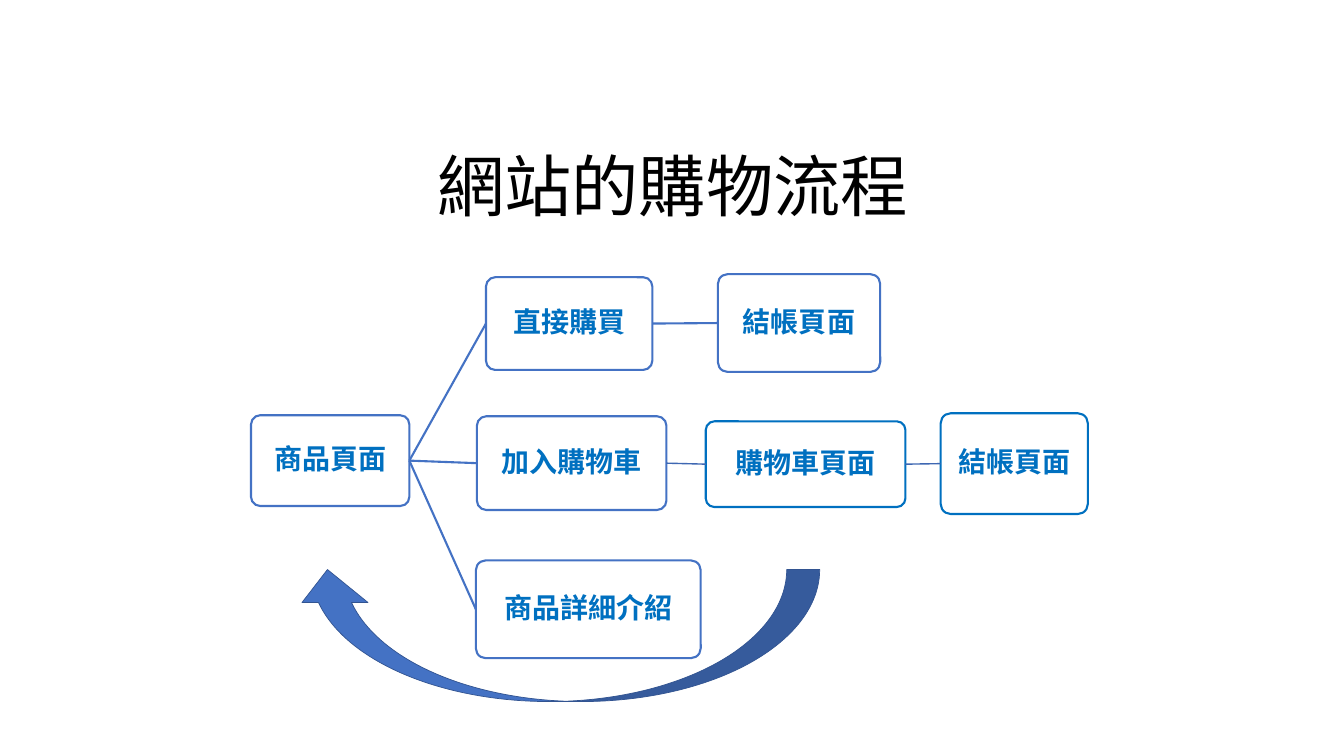
import pptx
import pptx.util
import pptx.dml.color
import pptx.enum.shapes
import pptx.enum.text
import pptx.oxml.ns
from lxml import etree

Inches = pptx.util.Inches
SHAPE = pptx.enum.shapes.MSO_SHAPE
ANCHOR = pptx.enum.text.MSO_ANCHOR
HEX = {"black": "000000", "white": "FFFFFF", "blue": "4472C4",
       "sky": "0070C0", "steel": "3E67B2", "navy": "325491"}
FONT = "Noto Sans CJK SC"


def color(name):
    return pptx.dml.color.RGBColor.from_string(HEX[name])


def write(shape, text, size, ink, bold=False, anchor=ANCHOR.MIDDLE, pad=(0.1, 0.05)):
    frame = shape.text_frame
    frame.word_wrap = True
    frame.vertical_anchor = anchor
    frame.margin_left = frame.margin_right = Inches(pad[0])
    frame.margin_top = frame.margin_bottom = Inches(pad[1])
    para = frame.paragraphs[0]
    para.alignment = pptx.enum.text.PP_ALIGN.CENTER
    para.line_spacing = 0.9
    run = para.add_run()
    run.text = text
    run.font.size = pptx.util.Pt(size)
    run.font.bold = bold
    run.font.color.rgb = color(ink)
    run.font.name = FONT
    asian = etree.SubElement(run.font._element, pptx.oxml.ns.qn("a:ea"))
    asian.set("typeface", FONT)


deck = pptx.Presentation()
deck.slide_width, deck.slide_height = Inches(13.33), Inches(7.5)
slide = deck.slides.add_slide(deck.slide_layouts[6])
shapes = slide.shapes

title = shapes.add_textbox(Inches(1.67), Inches(0.66), Inches(10), Inches(1.63))
write(title, "網站的購物流程", 48, "black", anchor=ANCHOR.BOTTOM)

# Page boxes: key, text, left, top, width, height, line color
pages = [
    ("item", "商品頁面", 2.49, 4.12, 1.57, 0.9, "blue"),
    ("buy", "直接購買", 4.82, 2.75, 1.65, 0.92, "blue"),
    ("pay", "結帳頁面", 7.12, 2.72, 1.61, 0.97, "blue"),
    ("add", "加入購物車", 4.73, 4.13, 1.88, 0.93, "blue"),
    ("cart", "購物車頁面", 7, 4.18, 1.98, 0.85, "sky"),
    ("check", "結帳頁面", 9.33, 4.1, 1.46, 1, "sky"),
    ("info", "商品詳細介紹", 4.72, 5.56, 2.23, 0.97, "blue"),
]
boxes = {}
for key, text, left, top, width, height, edge in pages:
    box = shapes.add_shape(SHAPE.ROUNDED_RECTANGLE, Inches(left), Inches(top),
                           Inches(width), Inches(height))
    box.adjustments[0] = 0.1
    box.shadow.inherit = False
    box.fill.solid()
    box.fill.fore_color.rgb = color("white")
    box.line.color.rgb = color(edge)
    box.line.width = pptx.util.Pt(1.5)
    write(box, text, 20, "sky", bold=True, pad=(0.04, 0.04))
    boxes[key] = box

# Steps from the right side of one box to the left side of the next
steps = [
    ("item", "buy", "blue", 1.5),
    ("buy", "pay", "blue", 1.5),
    ("item", "add", "blue", 1.5),
    ("add", "cart", "steel", 1),
    ("cart", "check", "steel", 1),
    ("item", "info", "blue", 1.5),
]
for start, end, ink, width in steps:
    link = shapes.add_connector(pptx.enum.shapes.MSO_CONNECTOR.STRAIGHT, 0, 0, 0, 0)
    link.begin_connect(boxes[start], 3)
    link.end_connect(boxes[end], 1)
    link.line.color.rgb = color(ink)
    link.line.width = pptx.util.Pt(width)
    etree.SubElement(link._element.spPr, pptx.oxml.ns.qn("a:effectLst"))

back = shapes.add_shape(SHAPE.CURVED_LEFT_ARROW, Inches(4.87), Inches(3.7),
                        Inches(1.31), Inches(5.21))
back.rotation = 90
back.shadow.inherit = False
back.fill.solid()
back.fill.fore_color.rgb = color("blue")
back.line.color.rgb = color("navy")
back.line.width = pptx.util.Pt(0.5)

deck.save("out.pptx")
